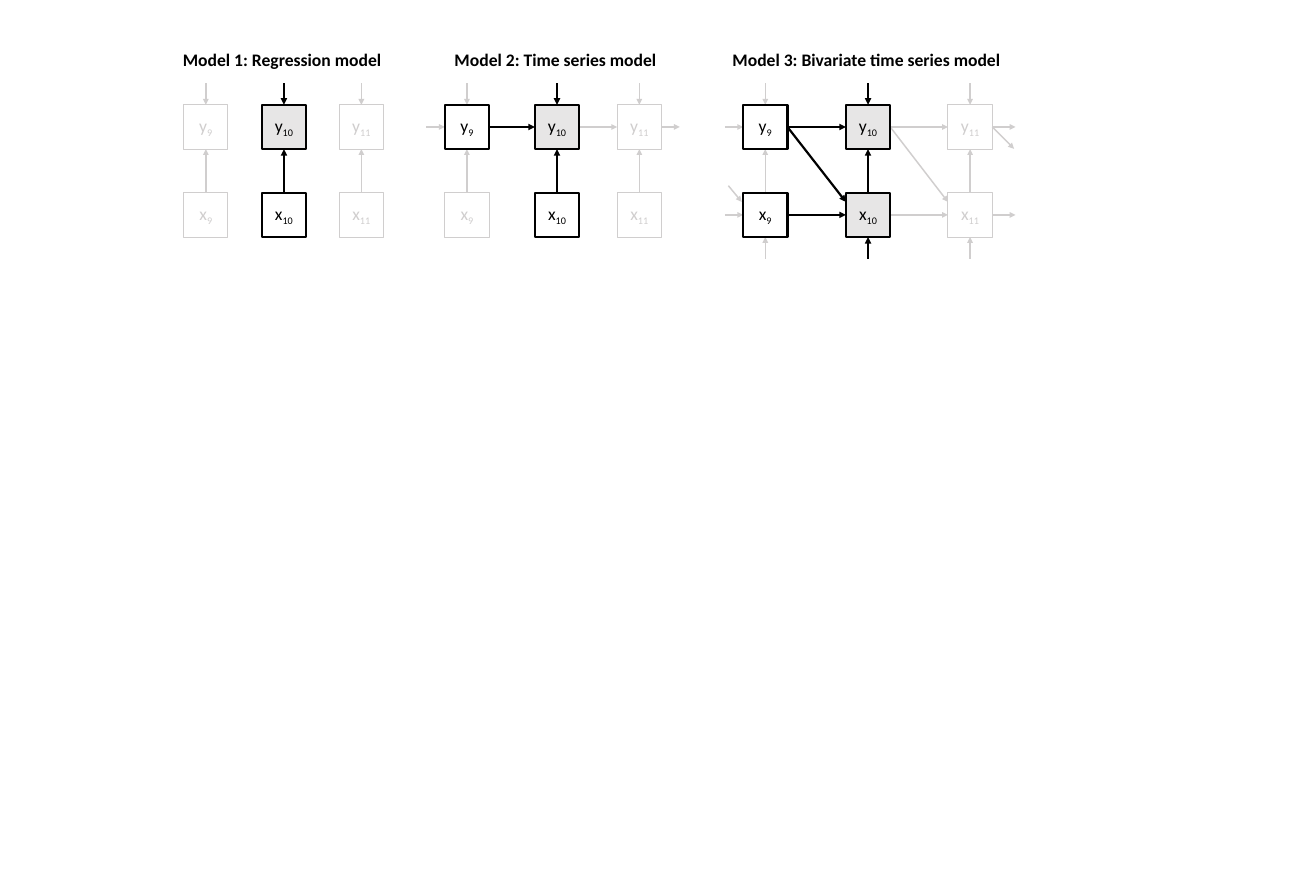
from pptx import Presentation
from pptx.dml.color import RGBColor
from pptx.enum.shapes import MSO_CONNECTOR, MSO_SHAPE
from pptx.enum.text import MSO_ANCHOR, MSO_AUTO_SIZE, PP_ALIGN
from pptx.oxml.ns import qn
from pptx.util import Inches, Pt
from lxml.etree import SubElement

BLACK, FADED, SHADE = "000000", "D0CECE", "E7E6E6"
FONT = "Calibri"
BOX = 0.63
HALF = BOX / 2
ROW_TOPS = {"y": 1.49, "x": 2.74}
TIMES = ["9", "10", "11"]
STUB = 0.31
ENTRY = 0.26

MODELS = [
    {"title": "Model 1: Regression model", "title_left": 2.5, "title_width": 3.04,
     "lefts": [2.61, 3.72, 4.82], "series": "", "crossed": False, "exit": 0,
     "active": ["y10", "x10"], "shaded": ["y10"]},
    {"title": "Model 2: Time series model", "title_left": 6.36, "title_width": 3.09,
     "lefts": [6.32, 7.6, 8.77], "series": "y", "crossed": False, "exit": 0.26,
     "active": ["y9", "y10", "x10"], "shaded": ["y10"]},
    {"title": "Model 3: Bivariate time series model", "title_left": 10.31, "title_width": 4.04,
     "lefts": [10.56, 12.02, 13.47], "series": "yx", "crossed": True, "exit": 0.33,
     "active": ["y9", "y10", "x9", "x10"], "shaded": ["y10", "x10"]},
]


def color(value):
    return RGBColor.from_string(value)


def add_run(paragraph, text, text_color, bold=False, subscript=False):
    run = paragraph.add_run()
    run.text = text
    run.font.name = FONT
    run.font.size = Pt(18)
    run.font.bold = bold
    run.font.color.rgb = color(text_color)
    if subscript:
        run.font._element.set("baseline", "-25000")


def add_arrow(slide, start, end, active=False):
    points = [Inches(value) for value in (*start, *end)]
    connector = slide.shapes.add_connector(MSO_CONNECTOR.STRAIGHT, *points)
    connector.line.color.rgb = color(BLACK if active else FADED)
    connector.line.width = Pt(2.25 if active else 1.5)
    properties = connector._element.spPr
    SubElement(properties.find(qn("a:ln")), qn("a:tailEnd"), type="triangle")
    SubElement(properties, qn("a:effectLst"))


def add_box(slide, left, row, time, model):
    name = row + time
    active = name in model["active"]
    shape = slide.shapes.add_shape(
        MSO_SHAPE.RECTANGLE, Inches(left), Inches(ROW_TOPS[row]), Inches(BOX), Inches(BOX))
    shape.shadow.inherit = False
    if name in model["shaded"]:
        shape.fill.solid()
        shape.fill.fore_color.rgb = color(SHADE)
    else:
        shape.fill.background()
    ink = BLACK if active else FADED
    shape.line.color.rgb = color(ink)
    shape.line.width = Pt(2.25 if active else 1)
    shape.text_frame.vertical_anchor = MSO_ANCHOR.MIDDLE
    paragraph = shape.text_frame.paragraphs[0]
    paragraph.alignment = PP_ALIGN.CENTER
    add_run(paragraph, row, ink)
    add_run(paragraph, time, ink, subscript=True)


def add_vertical_arrows(slide, model):
    top, bottom = ROW_TOPS["y"], ROW_TOPS["x"]
    for left, time in zip(model["lefts"], TIMES):
        center = left + HALF
        active = time == "10"
        add_arrow(slide, (center, top - STUB), (center, top), active)
        add_arrow(slide, (center, bottom), (center, top + BOX), active)
        if model["crossed"]:
            add_arrow(slide, (center, bottom + BOX + STUB), (center, bottom + BOX), active)


def add_series_arrows(slide, model):
    first, middle, last = model["lefts"]
    for row in model["series"]:
        level = ROW_TOPS[row] + HALF
        add_arrow(slide, (first - ENTRY, level), (first, level))
        add_arrow(slide, (first + BOX, level), (middle, level), True)
        add_arrow(slide, (middle + BOX, level), (last, level))
        add_arrow(slide, (last + BOX, level), (last + BOX + model["exit"], level))


def add_crossed_arrows(slide, model):
    first, middle, last = model["lefts"]
    level = ROW_TOPS["y"] + HALF
    landing = ROW_TOPS["x"] + 0.13
    add_arrow(slide, (first - 0.21, landing - 0.23), (first - 0.02, landing))
    add_arrow(slide, (first + BOX, level), (middle, landing), True)
    add_arrow(slide, (middle + BOX, level), (last, landing))
    add_arrow(slide, (last + BOX, level), (last + BOX + STUB, level + STUB))


def add_heading(slide, model):
    heading = slide.shapes.add_textbox(
        Inches(model["title_left"]), Inches(0.64), Inches(model["title_width"]), Inches(0.4))
    heading.text_frame.word_wrap = False
    heading.text_frame.auto_size = MSO_AUTO_SIZE.SHAPE_TO_FIT_TEXT
    add_run(heading.text_frame.paragraphs[0], model["title"], BLACK, bold=True)


def main():
    presentation = Presentation()
    presentation.slide_width = Inches(18.7)
    presentation.slide_height = Inches(12.48)
    slide = presentation.slides.add_slide(presentation.slide_layouts[6])
    for model in MODELS:
        add_vertical_arrows(slide, model)
        add_series_arrows(slide, model)
        if model["crossed"]:
            add_crossed_arrows(slide, model)
        for row in ROW_TOPS:
            for left, time in zip(model["lefts"], TIMES):
                add_box(slide, left, row, time, model)
        add_heading(slide, model)
    presentation.save("out.pptx")


if __name__ == "__main__":
    main()
